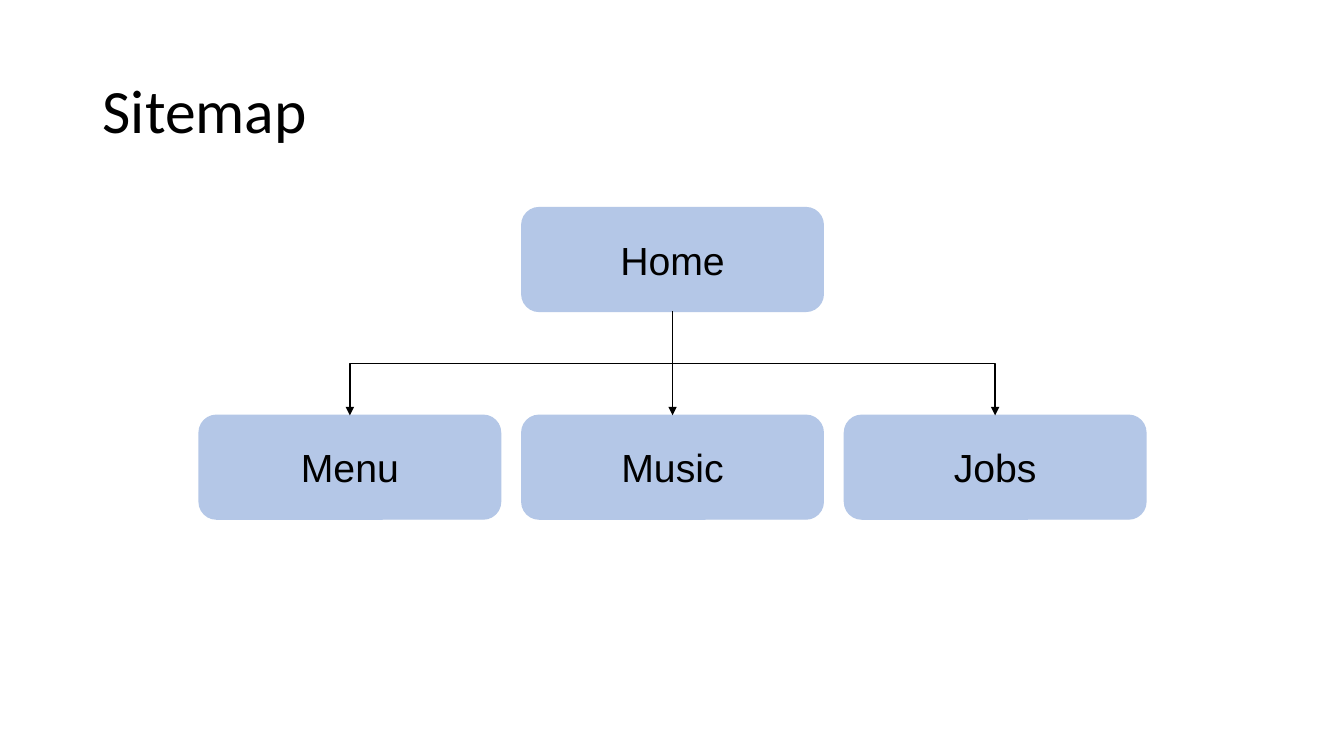
from lxml.etree import SubElement
from pptx import Presentation
from pptx.dml.color import RGBColor
from pptx.enum.shapes import MSO_CONNECTOR as CXN, MSO_SHAPE as SHAPE
from pptx.enum.text import MSO_ANCHOR as ANCHOR, PP_ALIGN as ALIGN
from pptx.oxml.ns import qn
from pptx.util import Inches, Pt

COLORS = {"box": "B4C7E7", "ink": "000000"}
CENTER_X = 6.67
BOX_W, BOX_H = 2.99, 1.03
PITCH = 3.2
HOME_Y, PAGES_Y = 2.06, 4.12
PAGES = ["Menu", "Music", "Jobs"]
TOP_SITE, BOTTOM_SITE = 0, 2


def rgb(name):
    """Return a palette colour."""
    return RGBColor.from_string(COLORS[name])


def write(shape, text, font, size, align):
    """Put one vertically centred line of text in a shape."""
    tf = shape.text_frame
    tf.word_wrap = True
    tf.vertical_anchor = ANCHOR.MIDDLE
    p = tf.paragraphs[0]
    p.alignment = align
    r = p.add_run()
    r.text = text
    r.font.name = font
    r.font.size = Pt(size)
    r.font.color.rgb = rgb("ink")
    return p


def add_title(s, text):
    """Add the slide title."""
    tb = s.shapes.add_textbox(Inches(0.92), Inches(0.4), Inches(11.5), Inches(1.45))
    p = write(tb, text, "Calibri", 44, ALIGN.LEFT)
    p.line_spacing = 0.9


def add_page(s, text, center_x, top):
    """Add a rounded box for one page of the site."""
    sp = s.shapes.add_shape(SHAPE.ROUNDED_RECTANGLE, Inches(center_x - BOX_W / 2),
                            Inches(top), Inches(BOX_W), Inches(BOX_H))
    sp.shadow.inherit = False
    sp.fill.solid()
    sp.fill.fore_color.rgb = rgb("box")
    sp.line.color.rgb = rgb("box")
    sp.line.width = Pt(1)
    write(sp, text, "Arial", 28, ALIGN.CENTER)
    return sp


def add_branch(s, parent, child):
    """Add an elbow arrow from the bottom of parent to the top of child."""
    cxn = s.shapes.add_connector(CXN.ELBOW, 0, 0, 0, 0)
    cxn.begin_connect(parent, BOTTOM_SITE)
    cxn.end_connect(child, TOP_SITE)

    # A vertical elbow is a horizontal one turned about its centre.
    x1, y1 = parent.left + parent.width // 2, parent.top + parent.height
    x2, y2 = child.left + child.width // 2, child.top
    drop, spread = y2 - y1, abs(x2 - x1)
    to_right = x2 > x1
    cxn.left, cxn.top = (x1 + x2 - drop) // 2, (y1 + y2 - spread) // 2
    cxn.width, cxn.height = drop, spread
    cxn.rotation = 270 if to_right else 90
    xfrm = cxn._element.spPr.xfrm
    xfrm.flipH, xfrm.flipV = to_right, False

    cxn.line.color.rgb = rgb("ink")
    cxn.line.width = Pt(1)
    SubElement(cxn.line._get_or_add_ln(), qn("a:tailEnd"), type="triangle")
    SubElement(cxn._element.spPr, qn("a:effectLst"))


def main():
    """Build the sitemap slide."""
    prs = Presentation()
    prs.slide_width, prs.slide_height = Inches(13.33), Inches(7.5)
    s = prs.slides.add_slide(prs.slide_layouts[6])

    add_title(s, "Sitemap")
    home = add_page(s, "Home", CENTER_X, HOME_Y)
    pages = [add_page(s, name, CENTER_X + (i - 1) * PITCH, PAGES_Y)
             for i, name in enumerate(PAGES)]
    for page in pages:
        add_branch(s, home, page)

    prs.save("out.pptx")


main()
